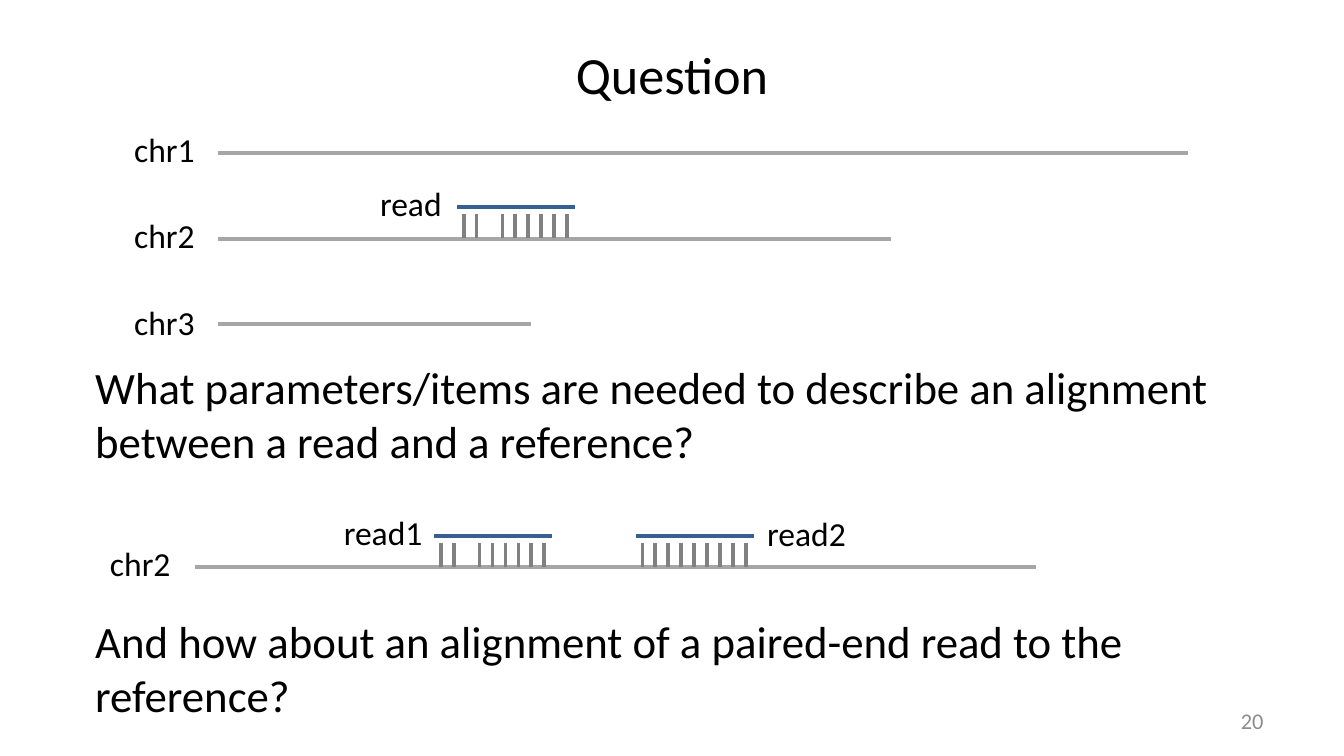
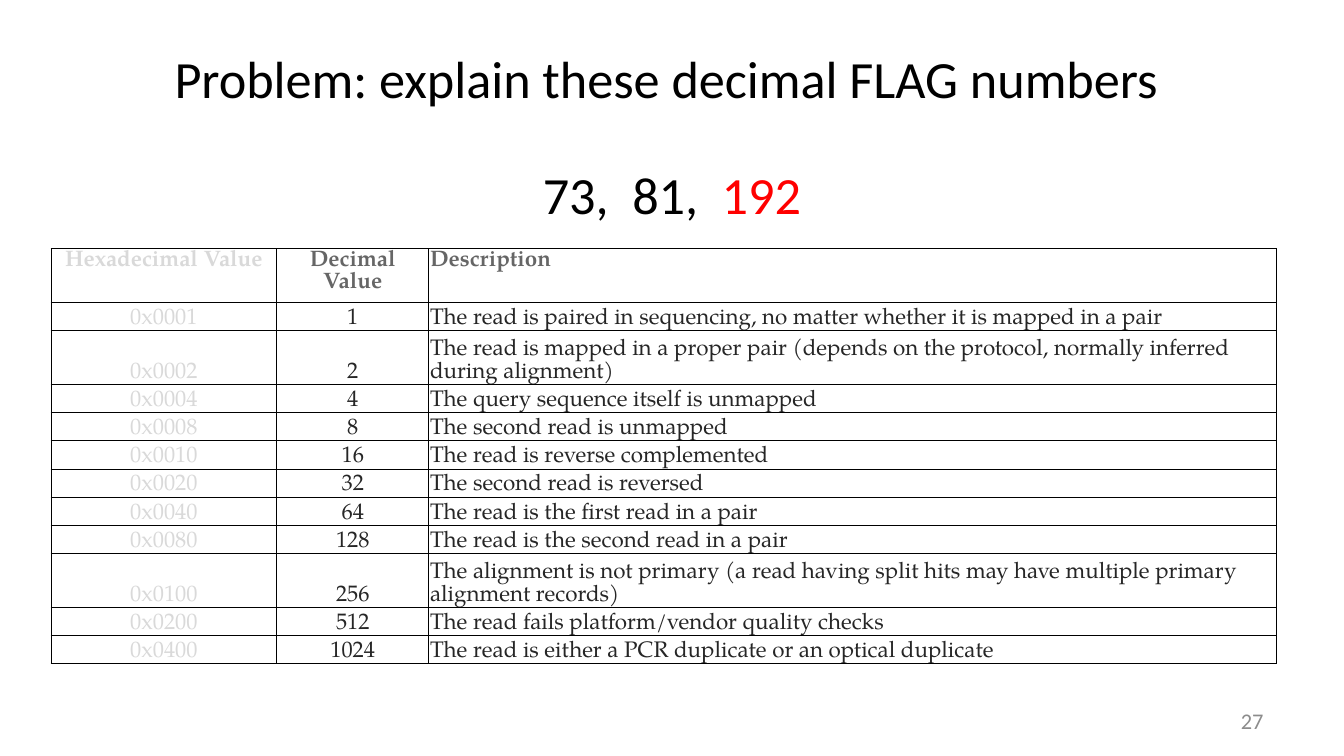
from dataclasses import dataclass

from lxml import etree
from pptx import Presentation
from pptx.dml.color import RGBColor
from pptx.enum.shapes import MSO_CONNECTOR
from pptx.enum.text import MSO_ANCHOR, MSO_AUTO_SIZE, PP_ALIGN
from pptx.oxml.ns import qn
from pptx.slide import Slide
from pptx.table import _Cell
from pptx.text.text import TextFrame, _Paragraph
from pptx.util import Inches, Pt

STRAIGHT = MSO_CONNECTOR.STRAIGHT
LEFT, CENTER, RIGHT = PP_ALIGN.LEFT, PP_ALIGN.CENTER, PP_ALIGN.RIGHT
TOP, MIDDLE, BOTTOM = MSO_ANCHOR.TOP, MSO_ANCHOR.MIDDLE, MSO_ANCHOR.BOTTOM
FIT_SHAPE, NO_FIT = MSO_AUTO_SIZE.SHAPE_TO_FIT_TEXT, MSO_AUTO_SIZE.NONE


@dataclass(frozen=True)
class Theme:
    font: str = "Calibri"
    table_font: str = "TeX Gyre Pagella"
    text: str = "000000"
    highlight: str = "FF0000"
    footer: str = "8C8C8C"
    chromosome: str = "A6A6A6"
    tick: str = "808080"
    read: str = "376092"
    faded: str = "D9D9D9"
    header: str = "666666"
    cell: str = "262626"
    border: str = "000000"
    title_size: float = 28
    question_size: float = 24
    label_size: float = 18
    small_size: float = 12
    line_width: float = 2
    read_width: float = 2.25
    border_width: float = 0.5


THEME = Theme()


@dataclass(frozen=True)
class Box:
    left: float
    top: float
    width: float
    height: float


@dataclass(frozen=True)
class Label:
    text: str
    box: Box


@dataclass(frozen=True)
class Chromosome:
    label: Label
    left: float
    right: float
    y: float


@dataclass(frozen=True)
class Read:
    label: Label
    left: float
    y: float
    mismatches: tuple[int, ...] = ()


@dataclass(frozen=True)
class Flag:
    value: int
    description: str
    height: float = 0.21


CHROMOSOMES = (
    Chromosome(Label("chr1", Box(0.9, 0.91, 0.66, 0.4)), 1.62, 8.84, 1.14),
    Chromosome(Label("chr2", Box(0.9, 1.55, 0.66, 0.4)), 1.62, 6.63, 1.78),
    Chromosome(Label("chr3", Box(0.9, 2.2, 0.66, 0.4)), 1.62, 3.95, 2.41),
    Chromosome(Label("chr2", Box(0.72, 3.99, 0.66, 0.4)), 1.45, 7.71, 4.22),
)
READS = (
    Read(Label("read", Box(2.73, 1.31, 0.67, 0.4)), 3.4, 1.54, (2,)),
    Read(Label("read1", Box(2.46, 3.76, 0.8, 0.4)), 3.23, 3.99, (2,)),
    Read(Label("read2", Box(5.61, 3.77, 0.8, 0.4)), 4.73, 3.99),
)
READ_LENGTH = 0.88
TICK_COUNT = 9
TICK_INSET = 0.05
TICK_PITCH = (READ_LENGTH - 0.11) / (TICK_COUNT - 1)
TICK_TOP, TICK_BOTTOM = 0.05, 0.23

QUESTIONS = (
    Label("What parameters/items are needed to describe an alignment "
          "between a read and a reference?", Box(0.61, 2.63, 8.69, 0.91)),
    Label("And how about an alignment of a paired-end read to the reference?",
          Box(0.61, 4.52, 8.69, 0.91)),
)

TALL_ROW = 0.4
COLUMN_WIDTHS = (1.68, 1.13, 6.31)
COLUMN_ALIGNS = (CENTER, CENTER, LEFT)
HEADINGS = ("Hexadecimal Value", "Decimal Value", "Description")
HEADING_COLORS = (THEME.faded, THEME.header, THEME.header)
FLAG_COLORS = (THEME.faded, THEME.cell, THEME.cell)
FLAGS = (
    Flag(1, "The read is paired in sequencing, no matter whether it is mapped in a pair"),
    Flag(2, "The read is mapped in a proper pair (depends on the protocol, "
            "normally inferred during alignment)", TALL_ROW),
    Flag(4, "The query sequence itself is unmapped"),
    Flag(8, "The second read is unmapped"),
    Flag(16, "The read is reverse complemented"),
    Flag(32, "The second read is reversed"),
    Flag(64, "The read is the first read in a pair"),
    Flag(128, "The read is the second read in a pair"),
    Flag(256, "The alignment is not primary (a read having split hits may have "
              "multiple primary alignment records)", TALL_ROW),
    Flag(512, "The read fails platform/vendor quality checks"),
    Flag(1024, "The read is either a PCR duplicate or an optical duplicate"),
)


def add_run(p: _Paragraph, text: str, size: float, color: str = THEME.text,
            font: str = THEME.font, bold: bool = False, spacing: float = 0) -> None:
    r = p.add_run()
    r.text = text
    r.font.name = font
    r.font.size = Pt(size)
    r.font.bold = bold
    r.font.color.rgb = RGBColor.from_string(color)
    if spacing:
        r._r.get_or_add_rPr().set("spc", str(round(spacing * 100)))


def add_box(s: Slide, box: Box, anchor: MSO_ANCHOR = TOP, wrap: bool = True,
            fit: MSO_AUTO_SIZE = NO_FIT) -> TextFrame:
    sp = s.shapes.add_textbox(Inches(box.left), Inches(box.top),
                              Inches(box.width), Inches(box.height))
    tf = sp.text_frame
    tf.word_wrap = wrap
    tf.auto_size = fit
    tf.vertical_anchor = anchor
    return tf


def add_title(s: Slide, text: str, box: Box) -> None:
    p = add_box(s, box, MIDDLE).paragraphs[0]
    p.alignment = CENTER
    add_run(p, text, THEME.title_size)


def add_page_number(s: Slide, number: int) -> None:
    p = add_box(s, Box(7.17, 5.21, 2.33, 0.3), MIDDLE).paragraphs[0]
    p.alignment = RIGHT
    add_run(p, str(number), THEME.small_size, THEME.footer)


def add_label(s: Slide, label: Label, size: float = THEME.label_size,
              wrap: bool = False) -> None:
    tf = add_box(s, label.box, wrap=wrap, fit=FIT_SHAPE)
    add_run(tf.paragraphs[0], label.text, size)


def add_line(s: Slide, x1: float, y1: float, x2: float, y2: float, color: str,
             width: float = THEME.line_width) -> None:
    line = s.shapes.add_connector(STRAIGHT, Inches(x1), Inches(y1), Inches(x2), Inches(y2))
    line.line.color.rgb = RGBColor.from_string(color)
    line.line.width = Pt(width)
    etree.SubElement(line._element.spPr, qn("a:effectLst"))


def add_chromosome(s: Slide, chromosome: Chromosome) -> None:
    add_line(s, chromosome.left, chromosome.y, chromosome.right, chromosome.y,
             THEME.chromosome)
    add_label(s, chromosome.label)


def add_read(s: Slide, read: Read) -> None:
    for i in range(TICK_COUNT):
        if i not in read.mismatches:
            x = read.left + TICK_INSET + i * TICK_PITCH
            add_line(s, x, read.y + TICK_TOP, x, read.y + TICK_BOTTOM, THEME.tick)
    add_line(s, read.left, read.y, read.left + READ_LENGTH, read.y,
             THEME.read, THEME.read_width)
    add_label(s, read.label)


def set_borders(cell: _Cell) -> None:
    tc_pr = cell._tc.get_or_add_tcPr()
    for i, side in enumerate(("lnL", "lnR", "lnT", "lnB")):
        ln = etree.Element(qn(f"a:{side}"), w=str(Pt(THEME.border_width)))
        fill = etree.SubElement(ln, qn("a:solidFill"))
        etree.SubElement(fill, qn("a:srgbClr"), val=THEME.border)
        tc_pr.insert(i, ln)


def fill_cell(cell: _Cell, text: str, color: str, align: PP_ALIGN, header: bool) -> None:
    cell.margin_left = cell.margin_right = cell.margin_top = Inches(0.01)
    cell.margin_bottom = 0
    cell.vertical_anchor = TOP if header else BOTTOM
    cell.fill.background()
    set_borders(cell)
    p = cell.text_frame.paragraphs[0]
    p.alignment = align
    add_run(p, text, THEME.small_size, color, THEME.table_font, header)


def add_flag_table(s: Slide) -> None:
    heights = (TALL_ROW, *(flag.height for flag in FLAGS))
    rows = (HEADINGS, *((f"0x{flag.value:04x}", str(flag.value), flag.description)
                        for flag in FLAGS))
    table = s.shapes.add_table(len(rows), len(COLUMN_WIDTHS), Inches(0.38), Inches(1.85),
                               Inches(sum(COLUMN_WIDTHS)), Inches(sum(heights))).table
    table.first_row = table.horz_banding = False
    for column, width in zip(table.columns, COLUMN_WIDTHS):
        column.width = Inches(width)
    for i, (row, height, texts) in enumerate(zip(table.rows, heights, rows)):
        row.height = Inches(height)
        colors = FLAG_COLORS if i else HEADING_COLORS
        for cell, text, color, align in zip(row.cells, texts, colors, COLUMN_ALIGNS):
            fill_cell(cell, text, color, align, i == 0)


def build_question(s: Slide) -> None:
    add_title(s, "Question", Box(0.5, 0.23, 9, 0.63))
    for chromosome in CHROMOSOMES:
        add_chromosome(s, chromosome)
    for read in READS:
        add_read(s, read)
    for question in QUESTIONS:
        add_label(s, question, THEME.question_size, True)
    add_page_number(s, 20)


def build_flags(s: Slide) -> None:
    add_title(s, "Problem: explain these decimal FLAG numbers ", Box(0.5, 0.15, 9, 0.85))
    p = add_box(s, Box(0.5, 1.11, 9, 0.62)).paragraphs[0]
    p.alignment = CENTER
    p.line_spacing = 1.1
    for number in ("73,", "81,"):
        add_run(p, number, THEME.title_size)
        add_run(p, " ", THEME.title_size, spacing=6.3)
    add_run(p, "192", THEME.title_size, THEME.highlight)
    add_page_number(s, 27)
    add_flag_table(s)


def main() -> None:
    prs = Presentation()
    prs.slide_width = Inches(10)
    prs.slide_height = prs.slide_width * 9 // 16
    for build in (build_question, build_flags):
        build(prs.slides.add_slide(prs.slide_layouts[6]))
    prs.save("out.pptx")


if __name__ == "__main__":
    main()
